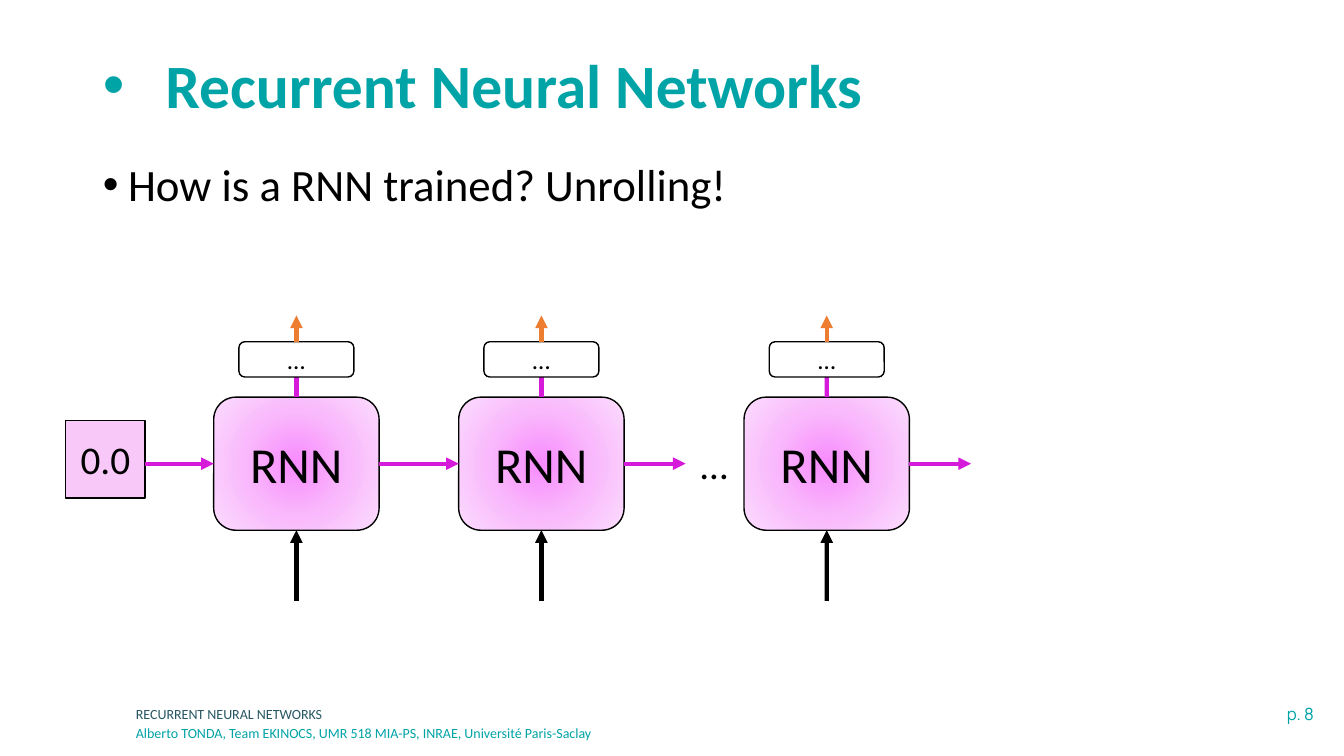
from pptx import Presentation
from pptx.dml.color import RGBColor as Rgb
from pptx.enum.shapes import MSO_CONNECTOR as Link, MSO_SHAPE as Kind
from pptx.enum.text import MSO_ANCHOR as Anchor, MSO_AUTO_SIZE as Fit, PP_ALIGN as Align
from pptx.oxml import parse_xml
from pptx.oxml.ns import nsdecls, qn
from pptx.util import Inches, Pt
from lxml.etree import SubElement

HUES = {"teal": "00A3A6", "slate": "275662", "black": "000000", "white": "FFFFFF",
        "pink": "F7C8F8", "purple": "D51ADA", "orange": "ED7D31"}
GLOW = {0: "F88BFD", 50: "F9B9FC", 100: "FBDDFD"}


class Deck:
    """Hold the style and the current slide, and draw its elements."""

    def __init__(self):
        self.prs = Presentation()
        self.prs.slide_width, self.prs.slide_height = Inches(13.33), Inches(7.5)
        self.slide = self.prs.slides.add_slide(self.prs.slide_layouts[1])
        self.shapes = self.slide.shapes

    def fill_text(self, shape, text, size, hue="black", align=Align.LEFT,
                  anchor=Anchor.TOP, font="Calibri", bold=False):
        frame = shape.text_frame
        form = {"word_wrap": True, "auto_size": Fit.NONE, "vertical_anchor": anchor}
        for key, val in form.items():
            setattr(frame, key, val)
        para = frame.paragraphs[0]
        para.alignment = align
        run = para.add_run()
        run.text = text
        for key, val in {"name": font, "size": Pt(size), "bold": bold}.items():
            setattr(run.font, key, val)
        run.font.color.rgb = Rgb.from_string(HUES[hue])
        return para

    def bullet(self, index, box, indent, text, size, **style):
        holder = self.slide.placeholders[index]
        for key, val in zip(("left", "top", "width", "height"), box):
            setattr(holder, key, Inches(val))
        para = self.fill_text(holder, text, size, **style)
        props = para._p.get_or_add_pPr()
        props.set("marL", str(Inches(indent)))
        props.set("indent", str(-Inches(indent)))
        SubElement(props, qn("a:buFont")).set("typeface", "Arial")
        SubElement(props, qn("a:buChar")).set("char", "•")
        for key, val in {"line_spacing": 0.9, "space_before": Pt(0)}.items():
            setattr(para, key, val)

    def label(self, box, text, size, **style):
        shape = self.shapes.add_textbox(*map(Inches, box))
        self.fill_text(shape, text, size, **style)

    def block(self, kind, box, text, size, fill=None):
        shape = self.shapes.add_shape(kind, *map(Inches, box))
        shape.shadow.inherit = False
        shape.line.color.rgb = Rgb.from_string(HUES["black"])
        shape.line.width = Pt(1)
        if fill:
            shape.fill.solid()
            shape.fill.fore_color.rgb = Rgb.from_string(HUES[fill])
        else:
            self.glow(shape)
        self.fill_text(shape, text, size, align=Align.CENTER, anchor=Anchor.MIDDLE)
        return shape

    def glow(self, shape):
        stops = "".join(f'<a:gs pos="{pos * 1000}"><a:srgbClr val="{hue}"/></a:gs>'
                        for pos, hue in GLOW.items())
        grad = parse_xml(
            f'<a:gradFill {nsdecls("a")} rotWithShape="1"><a:gsLst>{stops}</a:gsLst>'
            '<a:path path="circle"><a:fillToRect l="50000" t="50000" r="50000" b="50000"/>'
            '</a:path></a:gradFill>')
        shape._element.spPr.find(qn("a:prstGeom")).addnext(grad)

    def arrow(self, start, end, hue, source=None, target=None):
        link = self.shapes.add_connector(Link.STRAIGHT, *map(Inches, start + end))
        if source:
            link.begin_connect(*source)
        if target:
            link.end_connect(*target)
        link.line.color.rgb = Rgb.from_string(HUES[hue])
        link.line.width = Pt(3)
        props = link._element.spPr
        SubElement(props.find(qn("a:ln")), qn("a:tailEnd")).set("type", "triangle")
        SubElement(props, qn("a:effectLst"))

    def cell(self, left):
        mid = left + 0.82
        core = self.block(Kind.ROUNDED_RECTANGLE, (left, 3.94, 1.64, 1.32), "RNN", 36)
        self.arrow((mid, 3.94), (mid, 3.56), "purple", source=(core, 0))
        self.arrow((mid, 5.96), (mid, 5.26), "black", target=(core, 2))
        state = self.block(Kind.ROUNDED_RECTANGLE, (mid - 0.57, 3.39, 1.14, 0.35),
                           "…", 18, "white")
        self.arrow((mid, 3.39), (mid, 3.13), "orange", source=(state, 0))
        return core


def main():
    deck = Deck()
    deck.label((10.85, 6.93, 2.28, 0.3), "p. 8", 12, hue="teal",
               align=Align.RIGHT, font="Manrope")
    deck.label((1.25, 6.95, 7.34, 0.28), "RECURRENT NEURAL NETWORKS", 10, hue="slate")
    deck.label((1.25, 7.14, 7.34, 0.28),
               "Alberto TONDA, Team EKINOCS, UMR 518 MIA-PS, INRAE, Université Paris-Saclay",
               10, hue="teal")
    deck.bullet(0, (0.92, 0.4, 11.5, 0.95), 0.62, "Recurrent Neural Networks", 44,
                hue="teal", anchor=Anchor.MIDDLE, bold=True)
    deck.bullet(1, (0.92, 1.56, 11.5, 5.11), 0.25, "How is a RNN trained? Unrolling!", 32)

    first, second, last = [deck.cell(left) for left in (2.12, 4.55, 7.38)]
    deck.block(Kind.RECTANGLE, (0.65, 4.17, 0.79, 0.77), "0.0", 28, "pink")
    deck.label((6.85, 4.32, 0.48, 0.57), "…", 28)
    deck.arrow((1.44, 4.6), (2.12, 4.6), "purple", target=(first, 1))
    deck.arrow((3.76, 4.6), (4.55, 4.6), "purple", source=(first, 3), target=(second, 1))
    deck.arrow((6.19, 4.6), (6.8, 4.6), "purple", source=(second, 3))
    deck.arrow((9.02, 4.6), (9.63, 4.6), "purple", source=(last, 3))
    deck.prs.save("out.pptx")


if __name__ == "__main__":
    main()
